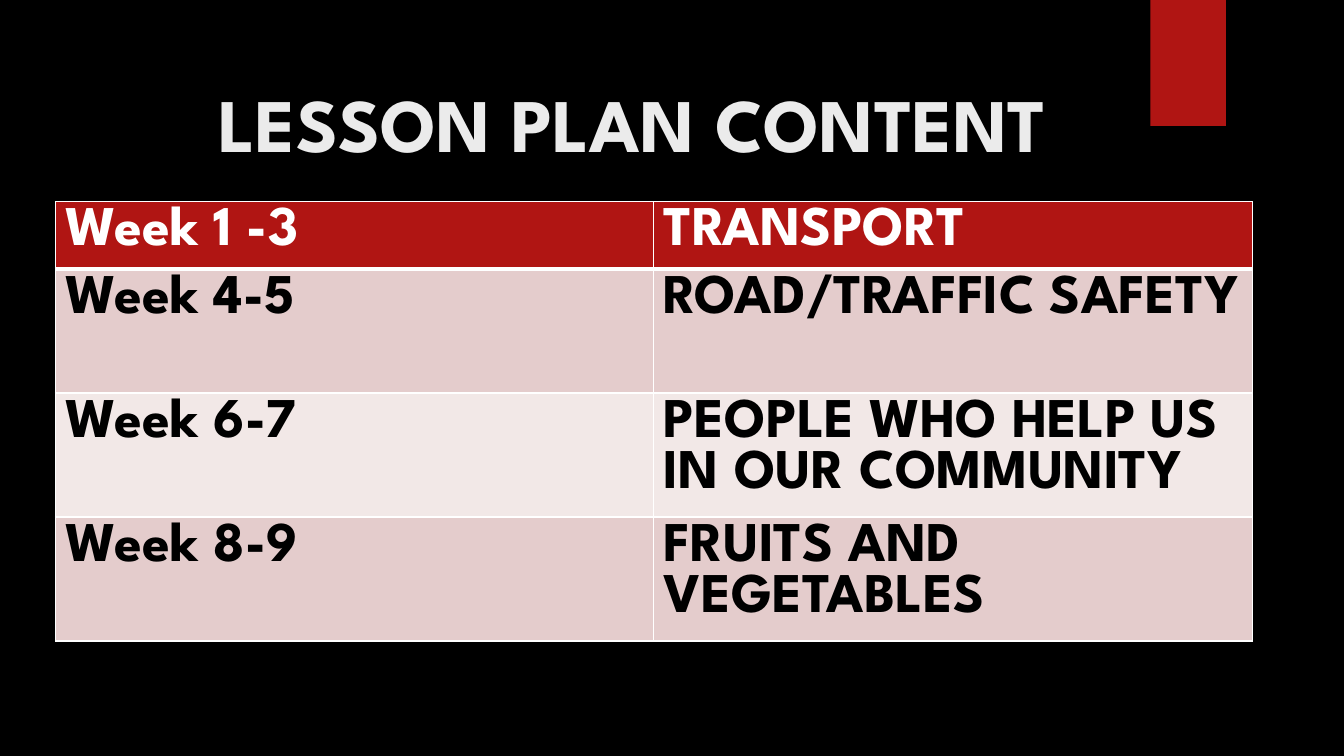
from dataclasses import dataclass

from lxml.etree import SubElement
from pptx import Presentation
from pptx.dml.color import RGBColor as RGB
from pptx.enum.shapes import MSO_SHAPE as Shape
from pptx.enum.text import MSO_ANCHOR as Anchor, PP_ALIGN as Align
from pptx.oxml.ns import qn
from pptx.util import Emu, Inches, Pt


@dataclass(frozen=True)
class Theme:
    font: str = "League Spartan"
    title_size: int = 54
    table_size: int = 40
    background: str = "000000"
    title: str = "EBEBEB"
    accent: str = "B01513"
    dark_text: str = "000000"
    light: str = "FFFFFF"
    bands: tuple[str, str] = ("E4CCCC", "F2E8E7")
    rule: int = 1
    header_rule: int = 3


@dataclass(frozen=True)
class Box:
    col: float
    row: float
    cols: float
    rows: float

    def emu(self) -> tuple[Emu, ...]:
        return tuple(grid(n) for n in (self.col, self.row, self.cols, self.rows))


@dataclass(frozen=True)
class Lesson:
    weeks: str
    topic: str


THEME = Theme()
TITLE = Box(7.1, 5, 102.9, 15.3)
RIBBON = Box(114.1, 0, 7.5, 12.5)
TABLE = Box(5.5, 20, 118.7, 43.6)
HEADER_ROWS = 6.7
LESSONS = (
    Lesson("Week 1 -3", "TRANSPORT"),
    Lesson("Week 4-5", "ROAD/TRAFFIC SAFETY"),
    Lesson("Week 6-7", "PEOPLE WHO HELP US IN OUR COMMUNITY"),
    Lesson("Week 8-9", "FRUITS AND VEGETABLES"),
)


def grid(units: float) -> Emu:
    """Grid columns and rows are a tenth of an inch."""
    return Inches(units / 10)


def style(p, size: int, color: str) -> None:
    p.alignment = Align.LEFT
    font = p.font
    font.name, font.size, font.bold = THEME.font, Pt(size), True
    font.color.rgb = RGB.from_string(color)


def add_ribbon(s) -> None:
    sp = s.shapes.add_shape(Shape.RECTANGLE, *RIBBON.emu())
    sp.shadow.inherit = False
    sp.fill.solid()
    sp.fill.fore_color.rgb = RGB.from_string(THEME.accent)
    sp.line.fill.background()


def set_title(s, text: str) -> None:
    sp = s.shapes.title
    sp.left, sp.top, sp.width, sp.height = TITLE.emu()
    tf = sp.text_frame
    tf.word_wrap = True
    tf.vertical_anchor = Anchor.TOP
    tf.margin_left, tf.margin_top = grid(14.6), grid(2.6)
    tf.text = text
    style(tf.paragraphs[0], THEME.title_size, THEME.title)


def set_borders(cell, top: int, bottom: int) -> None:
    tc_pr = cell._tc.get_or_add_tcPr()
    widths = {"a:lnL": THEME.rule, "a:lnR": THEME.rule, "a:lnT": top, "a:lnB": bottom}
    for tag, width in widths.items():
        ln = SubElement(tc_pr, qn(tag), w=str(Pt(width)))
        fill = SubElement(ln, qn("a:solidFill"))
        SubElement(fill, qn("a:srgbClr"), val=THEME.light)


def add_lessons(s) -> None:
    table = s.shapes.add_table(len(LESSONS), 2, *TABLE.emu()).table
    for column in table.columns:
        column.width = grid(TABLE.cols / 2)
    body_rows = (TABLE.rows - HEADER_ROWS) / (len(LESSONS) - 1)

    for i, lesson in enumerate(LESSONS):
        header = i == 0
        table.rows[i].height = grid(HEADER_ROWS if header else body_rows)
        fill = THEME.accent if header else THEME.bands[(i - 1) % 2]
        color = THEME.light if header else THEME.dark_text
        top = THEME.header_rule if i == 1 else THEME.rule
        bottom = THEME.header_rule if header else THEME.rule
        for j, text in enumerate((lesson.weeks, lesson.topic)):
            cell = table.cell(i, j)
            set_borders(cell, top, bottom)
            cell.fill.solid()
            cell.fill.fore_color.rgb = RGB.from_string(fill)
            cell.text = text
            style(cell.text_frame.paragraphs[0], THEME.table_size, color)


def main() -> None:
    prs = Presentation()
    prs.slide_width, prs.slide_height = Inches(13.33), Inches(7.5)
    s = prs.slides.add_slide(prs.slide_layouts[5])

    # Background and ribbon
    s.background.fill.solid()
    s.background.fill.fore_color.rgb = RGB.from_string(THEME.background)
    add_ribbon(s)

    # Title and lesson table
    set_title(s, "LESSON PLAN CONTENT")
    add_lessons(s)
    prs.save("out.pptx")


if __name__ == "__main__":
    main()
